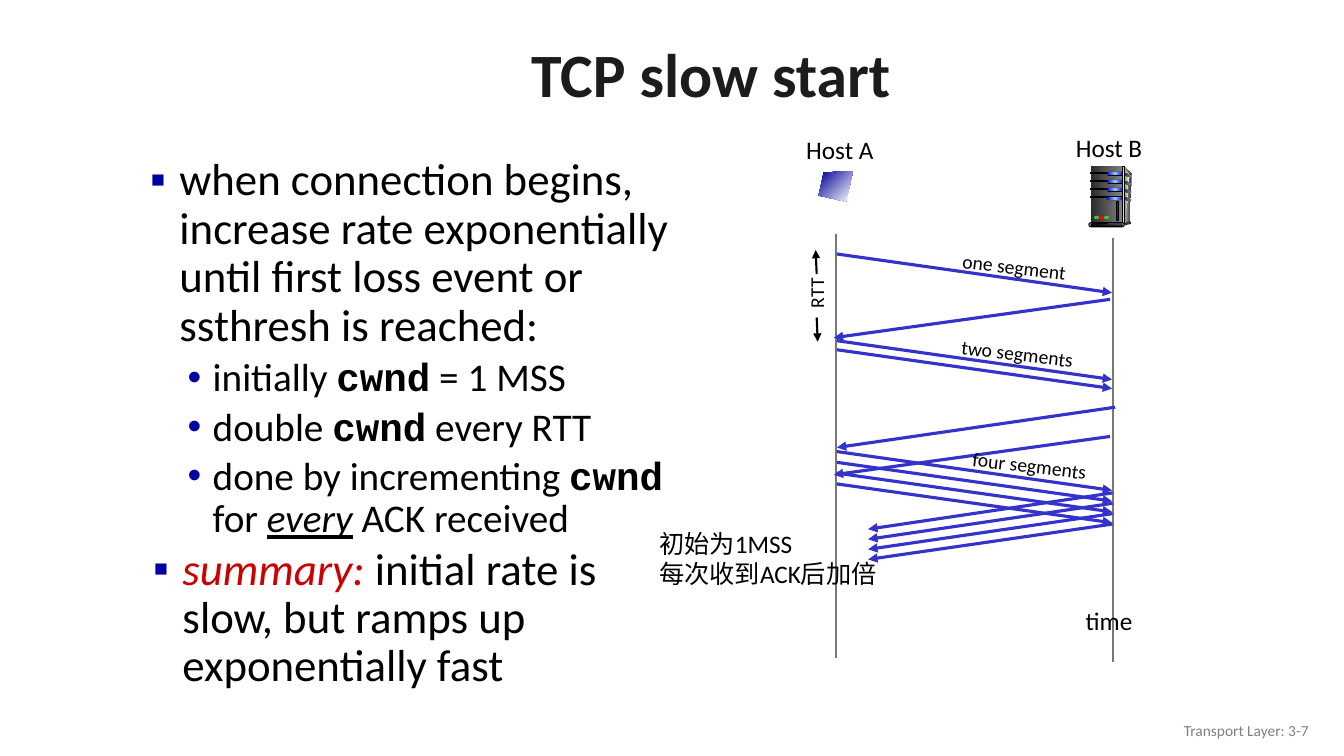
from copy import deepcopy
from dataclasses import dataclass

from lxml.etree import SubElement
from pptx import Presentation
from pptx.dml.color import RGBColor
from pptx.enum.shapes import MSO_CONNECTOR, MSO_SHAPE
from pptx.enum.text import MSO_ANCHOR, MSO_AUTO_SIZE, PP_ALIGN
from pptx.oxml.ns import qn
from pptx.util import Inches, Pt

GRID = Inches(0.1)
BLACK = RGBColor(0x00, 0x00, 0x00)
WHITE = RGBColor(0xFF, 0xFF, 0xFF)
INK = RGBColor(0x1C, 0x1C, 0x1C)
RED = RGBColor(0xCC, 0x00, 0x00)
NAVY = RGBColor(0x00, 0x00, 0xA3)
SCREEN = RGBColor(0x00, 0x00, 0x99)
ARROW = RGBColor(0x33, 0x33, 0xCC)
LIFELINE = RGBColor(0x77, 0x77, 0x77)
GRAY = RGBColor(0x80, 0x80, 0x80)
CHARCOAL = RGBColor(0x29, 0x29, 0x29)
DARK = RGBColor(0x33, 0x33, 0x33)
SILVER = RGBColor(0xDD, 0xDD, 0xDD)
PALE = RGBColor(0xF8, 0xF8, 0xF8)
BLUE = RGBColor(0x00, 0x00, 0xFF)
SKY = RGBColor(0x99, 0xCC, 0xFF)
GREEN = RGBColor(0x33, 0xCC, 0x33)
LAMP_RED = RGBColor(0xFF, 0x00, 0x00)


@dataclass
class Box:
    left: float
    top: float
    width: float
    height: float

    def point(self, column, row):
        return int((self.left + column) * GRID), int((self.top + row) * GRID)

    def area(self, column, row, width, height):
        return *self.point(column, row), int(width * GRID), int(height * GRID)

    def place(self, part):
        part.left, part.top, part.width, part.height = self.area(0, 0, self.width, self.height)


def set_font(font, size, color=BLACK, name="Calibri"):
    font.size, font.name, font.color.rgb = Pt(size), name, color


def add_label(shapes, area, words, size, color=BLACK, align=PP_ALIGN.CENTER, wrap=False, angle=0):
    label = shapes.add_textbox(*area)
    label.rotation = angle
    frame = label.text_frame
    frame.word_wrap = wrap
    frame.text = words
    for paragraph in frame.paragraphs:
        paragraph.alignment = align
        set_font(paragraph.font, size, color)
    return label


def add_line(shapes, start, end, color, weight, arrow=True):
    line = shapes.add_connector(MSO_CONNECTOR.STRAIGHT, *start, *end)
    line.line.color.rgb, line.line.width = color, Pt(weight)
    properties = line._element.spPr
    if arrow:
        SubElement(properties.find(qn("a:ln")), qn("a:tailEnd"), type="triangle")
    SubElement(properties, qn("a:effectLst"))


def paint(shape, colors, angle=0, outlined=False):
    shape.shadow.inherit = False
    if len(colors) == 1:
        shape.fill.solid()
        shape.fill.fore_color.rgb = colors[0]
    else:
        shape.fill.gradient()
        shape.fill.gradient_angle = angle
        stops = shape._element.spPr.find(".//" + qn("a:gsLst"))
        while len(stops) < len(colors):
            stops.insert(1, deepcopy(stops[0]))
        for index, (stop, color) in enumerate(zip(shape.fill.gradient_stops, colors)):
            stop.position = index / (len(colors) - 1)
            stop.color.rgb = color
    if outlined:
        shape.line.color.rgb, shape.line.width = BLACK, Pt(0.75)
    else:
        shape.line.fill.background()


def add_block(shapes, box, kind, area, *colors, outlined=False):
    block = shapes.add_shape(kind, *box.area(*area))
    if kind == MSO_SHAPE.ROUNDED_RECTANGLE:
        block.adjustments[0] = 0.5
    paint(block, colors, outlined=outlined)


def add_outline(shapes, box, corners, *colors, angle=0):
    points = [box.point(*corner) for corner in corners]
    builder = shapes.build_freeform(*points[0], scale=1.0)
    builder.add_line_segments(points[1:], close=True)
    paint(builder.convert_to_shape(), colors, angle)


def fill_title(title, box):
    box.place(title)
    title.text_frame.text = "TCP slow start "
    title.text_frame.auto_size = MSO_AUTO_SIZE.NONE
    title.text_frame.vertical_anchor = MSO_ANCHOR.MIDDLE
    heading = title.text_frame.paragraphs[0]
    heading.alignment, heading.line_spacing = PP_ALIGN.CENTER, 0.9
    set_font(heading.font, 44, INK)
    heading.font.bold = True


def fill_list(body, box, items):
    box.place(body)
    frame = body.text_frame
    frame.auto_size = MSO_AUTO_SIZE.NONE
    for index, (level, pieces) in enumerate(items):
        item = frame.add_paragraph() if index else frame.paragraphs[0]
        item.level = level
        margin, hanging, bullet, size = [(0.43, 0.29, "▪", 32), (0.76, 0.25, "•", 28)][level]
        properties = item._p.get_or_add_pPr()
        properties.set("marL", str(Inches(margin)))
        properties.set("indent", str(-Inches(hanging)))
        SubElement(SubElement(properties, qn("a:buClr")), qn("a:srgbClr"), val=str(NAVY))
        SubElement(properties, qn("a:buChar"), char=bullet)
        item.line_spacing = 0.9
        item.space_before = Pt(5 if index else 0)
        set_font(item.font, size)
        for words, style in pieces:
            run = item.add_run()
            run.text = words
            if style == "code":
                run.font.name, run.font.bold = "Courier New", True
            elif style == "stress":
                run.font.italic = run.font.underline = True
            elif style == "lead":
                run.font.italic, run.font.color.rgb = True, RED


def draw_computer(shapes, box):
    corners = [(3.4, 0), (0.5, 0.1), (0, 2.4), (2.7, 3), (3.4, 0)]
    add_outline(shapes, box, corners, SCREEN, WHITE, angle=-45)


def draw_server(shapes, box):
    tower = shapes.add_group_shape().shapes
    rect, pill, oval = MSO_SHAPE.RECTANGLE, MSO_SHAPE.ROUNDED_RECTANGLE, MSO_SHAPE.OVAL
    add_outline(tower, box, [(3.5, 0), (4.2, 0.7), (4.1, 5.5), (3.3, 5.7)], SILVER, DARK)
    add_block(tower, box, rect, (0.2, 0, 3.1, 5.7), CHARCOAL, GRAY)
    add_outline(tower, box, [(3.5, 0.3), (4, 0.8), (3.8, 3.5), (3.5, 5.5)], GRAY, PALE)
    for row in (0.6, 1.4, 2.2, 3):
        add_block(tower, box, rect, (0.2, row, 1.8, 0.1), BLACK, outlined=True)
        add_block(tower, box, pill, (1.8, row - 0.05, 1.7, 0.4), BLACK)
        add_block(tower, box, pill, (1.8, row, 1.6, 0.3), BLUE, SKY, BLUE)
        vent = [(3.4, row), (4.2, row + 0.3), (4.15, row + 0.5), (3.4, row + 0.25)]
        add_outline(tower, box, vent, CHARCOAL, GRAY)
    add_block(tower, box, rect, (3.3, 0, 0.2, 5.7), DARK, SILVER, DARK, outlined=True)
    add_outline(tower, box, [(3.4, 5.7), (3.4, 5.9), (4.2, 5.7), (4.1, 5.4)], DARK)
    add_block(tower, box, pill, (0, 5.6, 3.5, 0.4), SILVER, outlined=True)
    add_block(tower, box, pill, (0.2, 5.7, 3.1, 0.2), BLACK, GRAY, outlined=True)
    for index, lamp in enumerate((GREEN, LAMP_RED, GREEN)):
        add_block(tower, box, oval, (0.5 + 0.5 * index, 4.9, 0.5, 0.35), lamp)
    add_block(tower, box, rect, (2.7, 3.5, 0.2, 1.9), CHARCOAL, outlined=True)


def draw_exchange(shapes, box):
    for column, row in ((0, 0), (box.width, 0.4)):
        add_line(shapes, box.point(column, row), box.point(column, row + box.height),
                 LIFELINE, 1.5, arrow=False)
    segments = [2, 10.6, 11.5] + [21.6 + 1.07 * index for index in range(4)]
    arrows = [((0.1, row), (27.4, row + 3.85)) for row in segments]
    arrows += [((27.2, 6.5), (-0.2, 10.3)), ((27.7, 17.2), (0.1, 21.2)), ((27.2, 20.1), (-0.2, 23.9))]
    arrows += [((27.45, 25.7 + 1.03 * index), (3.2, 29.3 + index)) for index in range(4)]
    for start, end in arrows:
        add_line(shapes, box.point(*start), box.point(*end), ARROW, 2.25)
    for start, end in (((-1.9, 4), (-2, 1.6)), ((-1.9, 8.3), (-1.8, 10.7))):
        add_line(shapes, box.point(*start), box.point(*end), BLACK, 1.5)
    add_label(shapes, box.area(-4.4, 4.2, 5, 3.4), "RTT", 14, angle=270)
    for words, column, row, width in (("one segment", 11.5, 1.6, 12.4),
                                      ("two segments", 11.4, 10.2, 13.2),
                                      ("four segments", 12.5, 21.3, 13.4)):
        add_label(shapes, box.area(column, row, width, 3.4), words, 14, angle=6.8)
    for words, column, row in (("Host A", -4, -10.4), ("Host B", 22.7, -10.6), ("time", 22.7, 36.4)):
        add_label(shapes, box.area(column, row, 8.8, 4), words, 18)
    draw_computer(shapes, Box(box.left - 1.7, box.top - 6.2, 3.4, 3))
    draw_server(shapes, Box(box.left + 25.1, box.top - 6.7, 4.2, 6))


def main():
    deck = Presentation()
    deck.slide_width, deck.slide_height = Inches(13.33), Inches(7.5)
    slide = deck.slides.add_slide(deck.slide_layouts[3])
    title, behaviour, summary = slide.placeholders
    fill_title(title, Box(8.9, 2.8, 124.6, 9.8))
    fill_list(behaviour, Box(12.5, 15.1, 56, 57), [
        (0, [("when connection begins, increase rate exponentially until first loss event "
              "or ssthresh is reached:", "")]),
        (1, [("initially ", ""), ("cwnd", "code"), (" = 1 MSS", "")]),
        (1, [("double ", ""), ("cwnd", "code"), (" every RTT", "")]),
        (1, [("done by incrementing ", ""), ("cwnd", "code"), (" for ", ""),
             ("every", "stress"), (" ACK received", "")]),
    ])
    fill_list(summary, Box(12.8, 53.7, 56, 20.8), [
        (0, [("summary: ", "lead"),
             ("initial rate is slow, but ramps up exponentially fast", "")]),
    ])
    draw_exchange(slide.shapes, Box(82.9, 23.2, 27.5, 42.1))
    page = Box(0, 0, 133.3, 75)
    footer = add_label(slide.shapes, page.area(100.8, 70.5, 30, 4), "Transport Layer: 3-7",
                       11, GRAY, PP_ALIGN.RIGHT, wrap=True)
    footer.text_frame.vertical_anchor = MSO_ANCHOR.MIDDLE
    add_label(slide.shapes, page.area(64.4, 51.9, 34.6, 7.1), "初始为1MSS\n每次收到ACK后加倍",
              18, align=PP_ALIGN.LEFT, wrap=True)
    deck.save("out.pptx")


if __name__ == "__main__":
    main()
